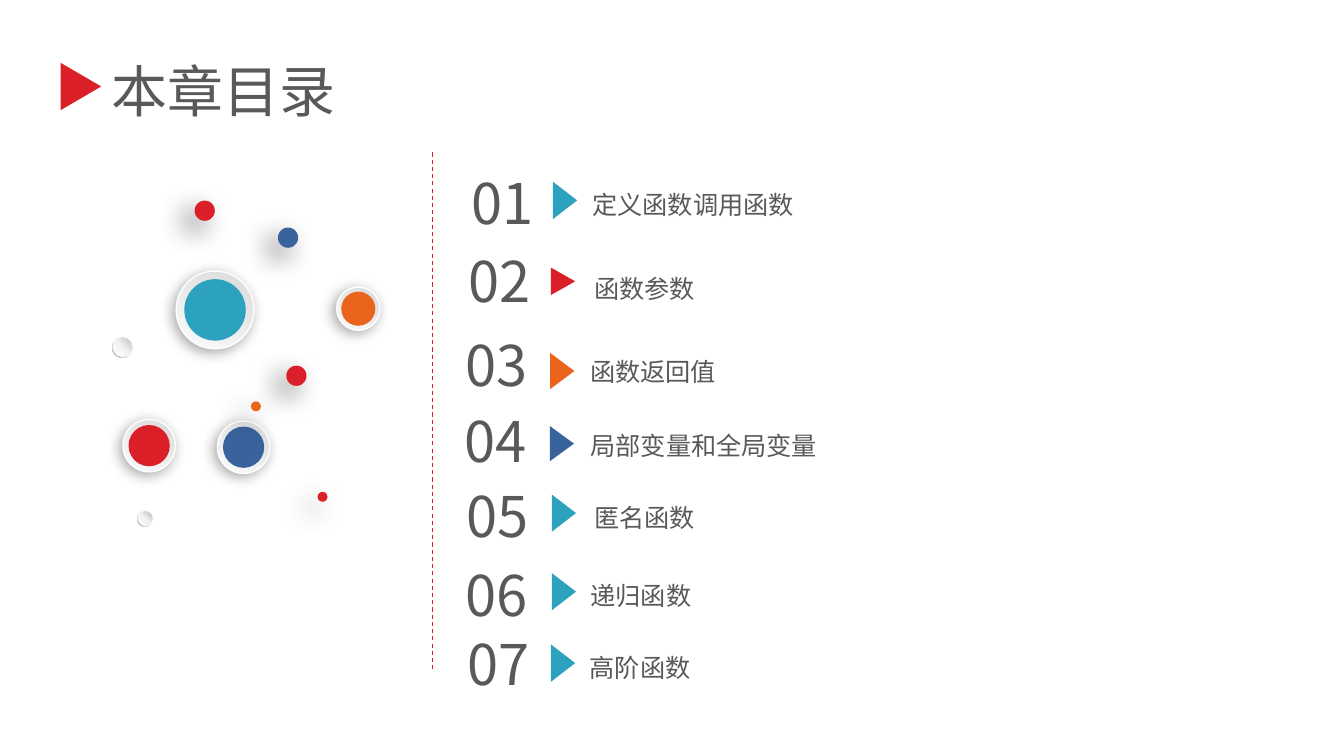
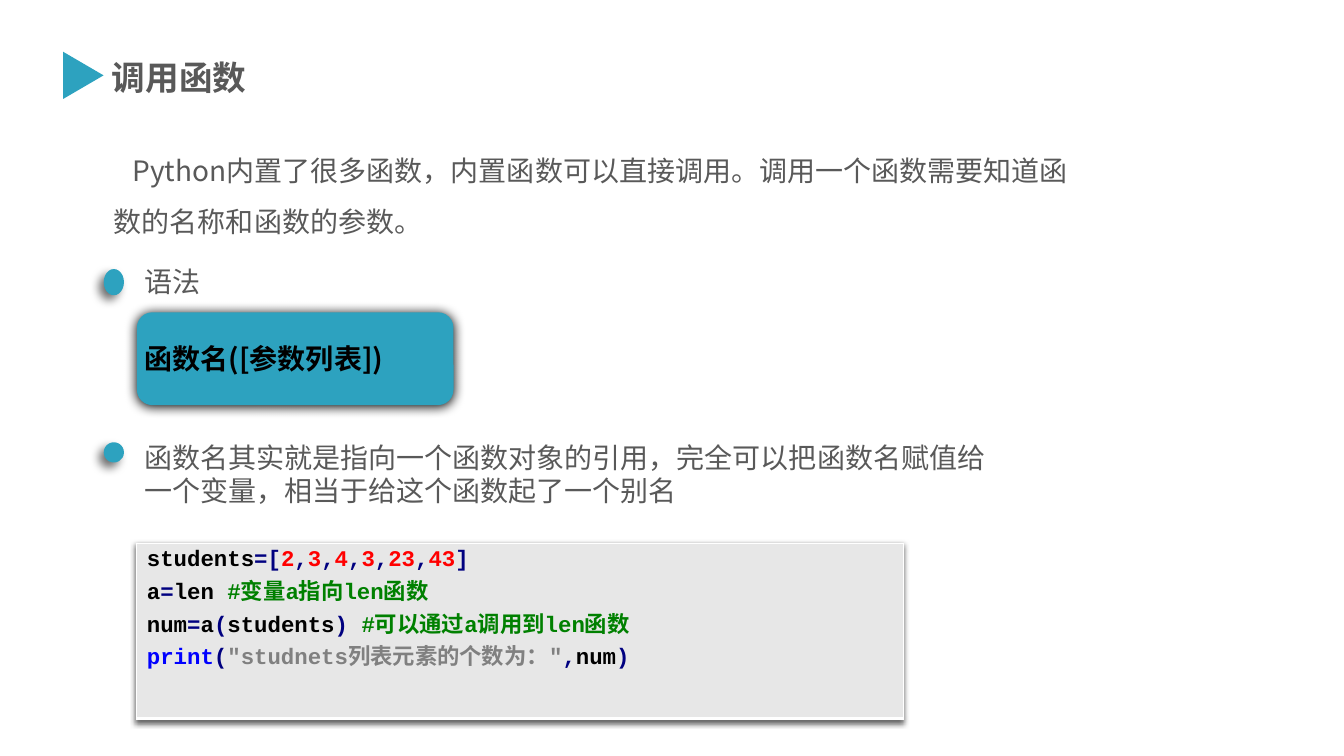
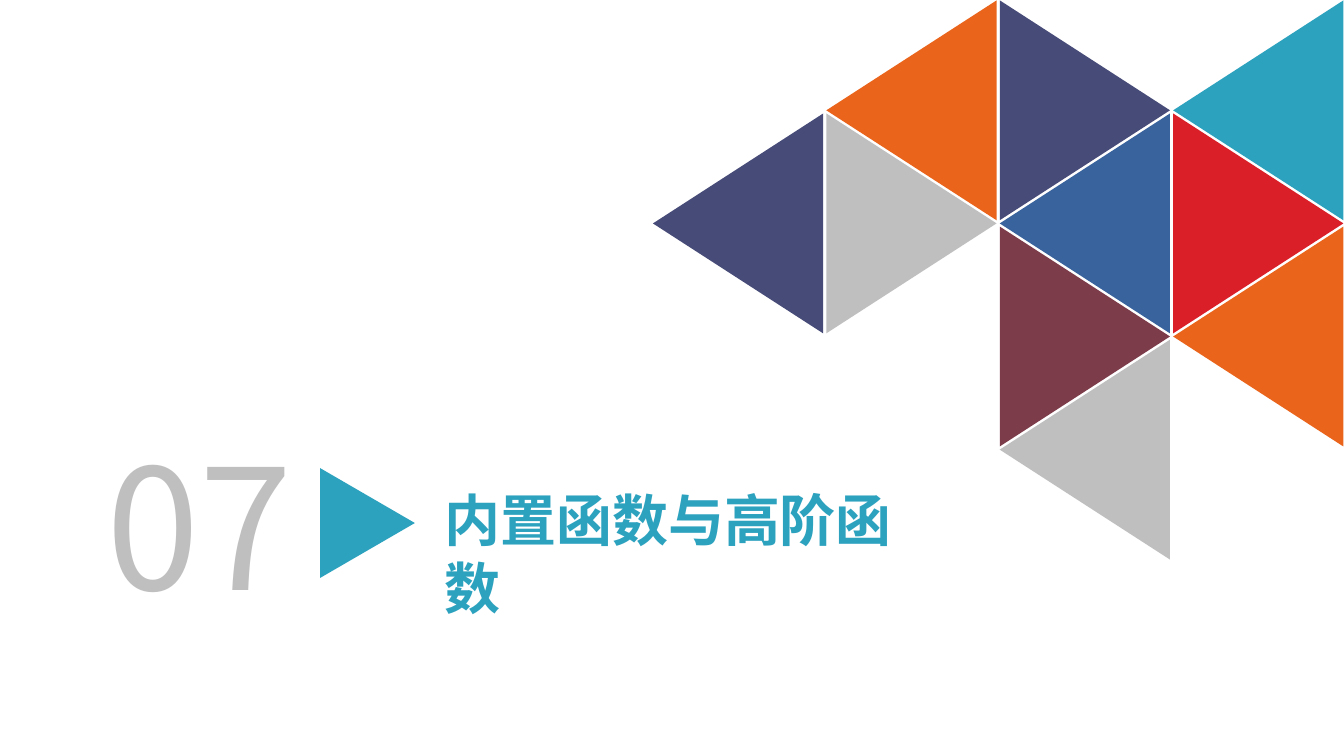
from lxml import etree
from pptx import Presentation
from pptx.dml.color import RGBColor
from pptx.enum import dml, shapes, text
from pptx.oxml import ns
from pptx.util import Cm, Pt

SANS = "Noto Sans CJK SC"
MONO = "Courier New"
TEAL, RED, ORANGE, BLUE = "2DA2BF", "DA1F28", "EB641B", "39639D"
INDIGO, MAROON, SILVER = "474B78", "7D3C4A", "BFBFBF"
GREY, BLACK, WHITE, PANEL = "595959", "000000", "FFFFFF", "E7E7E7"
NAVY, NUMBER, COMMENT, KEYWORD, STRING = "000080", "FF0000", "008000", "0000FF", "808080"

RING_STOPS = [(0, "D9D9D9"), (100, "FCFCFC")]
RIM_STOPS = [(0, WHITE), (55, "F2F2F2"), (100, "A6A6A6")]
PEARL_STOPS = [(0, WHITE), (51, "F2F2F2"), (100, SILVER)]
RING_SHADOW = (34, 10, 3, 136)
DOT_SHADOW = (60, 20, 10, 135)
BULLET_SHADOW = (57, 7, 5, 135)
PANEL_SHADOW = (100, 8.5, 1, 90)
TABLE_SHADOW = (60, 4, 2, 135)


def rgb(colour):
    return RGBColor.from_string(colour)


def node(parent, tag, **attributes):
    child = etree.SubElement(parent, ns.qn(tag))
    for key, value in attributes.items():
        child.set(key, str(value))
    return child


def add_shadow(effects, alpha, blur, distance, angle):
    outer = node(effects, "a:outerShdw", blurRad=Pt(blur), dist=Pt(distance),
                 dir=angle * 60000, algn="ctr", rotWithShape=0)
    node(node(outer, "a:srgbClr", val=BLACK), "a:alpha", val=alpha * 1000)


def fill_gradient(shape, stops, angle):
    shape.fill.gradient()
    gradient = shape.fill._xPr.find(ns.qn("a:gradFill"))
    for child in list(gradient):
        gradient.remove(child)
    stop_list = node(gradient, "a:gsLst")
    for position, colour in stops:
        node(node(stop_list, "a:gs", pos=position * 1000), "a:srgbClr", val=colour)
    node(gradient, "a:lin", ang=angle * 60000, scaled=0)


def add_centred(slide, kind, x, y, width, height, colour=None, shadow=None):
    shape = slide.shapes.add_shape(kind, Cm(x - width / 2), Cm(y - height / 2),
                                   Cm(width), Cm(height))
    shape.shadow.inherit = False
    shape.line.fill.background()
    if colour:
        shape.fill.solid()
        shape.fill.fore_color.rgb = rgb(colour)
    if shadow:
        add_shadow(shape._element.spPr.find(ns.qn("a:effectLst")), *shadow)
    return shape


def add_circle(slide, x, y, diameter, colour=None, shadow=None):
    return add_centred(slide, shapes.MSO_SHAPE.OVAL, x, y, diameter, diameter, colour, shadow)


def add_arrow(slide, x, y, width, height, colour, rotation=90):
    arrow = add_centred(slide, shapes.MSO_SHAPE.ISOSCELES_TRIANGLE, x, y, height, width, colour)
    arrow.rotation = rotation


def add_run(paragraph, words, size, colour, bold=False, face=SANS):
    run = paragraph.add_run()
    run.text = words
    run.font.size = Pt(size)
    run.font.bold = bold
    run.font.name = face
    run.font.color.rgb = rgb(colour)
    node(run.font._element, "a:ea", typeface=SANS)


def add_text(slide, left, top, width, height, words, size, colour=GREY, bold=False,
             spacing=None, before=None):
    frame = slide.shapes.add_textbox(Cm(left), Cm(top), Cm(width), Cm(height)).text_frame
    frame.word_wrap = True
    frame.auto_size = text.MSO_AUTO_SIZE.SHAPE_TO_FIT_TEXT
    paragraph = frame.paragraphs[0]
    if spacing:
        paragraph.line_spacing = spacing
    if before:
        paragraph.space_before = Pt(before)
    add_run(paragraph, words, size, colour, bold)
    return paragraph


def add_heading(slide, words, size, x, y, colour, bold=False):
    add_text(slide, 2.57, 1.3, 16.56, size * 0.05, words, size, bold=bold)
    add_arrow(slide, x, y, 1.02, 1.19, colour)


def add_ringed_circle(slide, x, y, ring, core, colour):
    rim = add_circle(slide, x, y, ring, shadow=RING_SHADOW)
    fill_gradient(rim, RING_STOPS, 120)
    rim.line.color.rgb = rgb(WHITE)
    rim.line.width = Pt(1)
    add_circle(slide, x, y, core, colour)


def add_pearl(slide, x, y, diameter):
    rim = add_centred(slide, shapes.MSO_SHAPE.DONUT, x, y, diameter, diameter)
    rim.adjustments[0] = 0.05
    fill_gradient(rim, RIM_STOPS, 135)
    fill_gradient(add_circle(slide, x, y, diameter - 0.05), PEARL_STOPS, 315)


def add_divider(slide, x, top, bottom):
    divider = slide.shapes.add_connector(shapes.MSO_CONNECTOR.STRAIGHT,
                                         Cm(x), Cm(top), Cm(x), Cm(bottom))
    divider.line.color.rgb = rgb(RED)
    divider.line.width = Pt(0.75)
    divider.line.dash_style = dml.MSO_LINE.DASH
    node(divider._element.spPr, "a:effectLst")


def add_bullet(slide, y, height, top, width, words):
    add_centred(slide, shapes.MSO_SHAPE.OVAL, 2.87, y, 0.51, height, TEAL, BULLET_SHADOW)
    add_text(slide, 3.38, top, width, 1.45, words, 20, before=12)


def add_syntax_panel(slide, words):
    panel = add_centred(slide, shapes.MSO_SHAPE.ROUNDED_RECTANGLE, 7.44, 9.04, 7.98, 2.34,
                        TEAL, PANEL_SHADOW)
    frame = panel.text_frame
    frame.margin_left = frame.margin_right = frame.margin_top = frame.margin_bottom = Cm(0.08)
    frame.vertical_anchor = text.MSO_ANCHOR.MIDDLE
    frame.paragraphs[0].alignment = text.PP_ALIGN.LEFT
    add_run(frame.paragraphs[0], words, 20, BLACK, True)


def add_code(slide, lines):
    table = slide.shapes.add_table(1, 1, Cm(3.45), Cm(13.69), Cm(19.33), Cm(4.42)).table
    table.first_row = table.horz_banding = False
    effects = etree.Element(ns.qn("a:effectLst"))
    add_shadow(effects, *TABLE_SHADOW)
    table._tbl.tblPr.insert(0, effects)
    cell = table.cell(0, 0)
    border = node(cell._tc.get_or_add_tcPr(), "a:lnB", w=Pt(2))
    node(node(border, "a:solidFill"), "a:srgbClr", val=WHITE)
    cell.fill.solid()
    cell.fill.fore_color.rgb = rgb(PANEL)
    frame = cell.text_frame
    for index, line in enumerate(lines):
        paragraph = frame.add_paragraph() if index else frame.paragraphs[0]
        for words, colour in line:
            add_run(paragraph, words, 16, colour, True, MONO)


def build_contents(slide):
    add_heading(slide, "本章目录", 40, 2.04, 2.18, RED)
    for x, y, ring, core, colour in [
        (5.42, 7.81, 1.96, 1.55, TEAL),
        (3.76, 11.23, 1.32, 1.04, RED),
        (6.14, 11.27, 1.32, 1.04, BLUE),
        (9.03, 7.78, 1.09, 0.86, ORANGE),
    ]:
        add_ringed_circle(slide, x, y, ring, core, colour)
    for x, y, diameter, colour in [
        (7.47, 9.47, 0.51, RED),
        (7.26, 5.99, 0.51, BLUE),
        (8.13, 12.52, 0.25, RED),
        (5.16, 5.31, 0.51, RED),
        (6.45, 10.24, 0.25, ORANGE),
    ]:
        add_circle(slide, x, y, diameter, colour, DOT_SHADOW)
    add_pearl(slide, 3.66, 13.07, 0.41)
    add_pearl(slide, 3.09, 8.75, 0.53)
    add_divider(slide, 10.9, 3.84, 16.92)

    chapters = [
        ("定义函数调用函数", TEAL, (11.63, 4.11), (14.24, 5.05, 0.94), (14.68, 4.27)),
        ("函数参数", RED, (11.56, 6.1), (14.19, 7.09, 0.69), (14.73, 6.38)),
        ("函数返回值", ORANGE, (11.48, 8.2), (14.17, 9.35, 0.91), (14.62, 8.48)),
        ("局部变量和全局变量", BLUE, (11.46, 10.13), (14.16, 11.18, 0.89), (14.63, 10.34)),
        ("匿名函数", TEAL, (11.51, 12.01), (14.21, 12.93, 0.94), (14.73, 12.14)),
        ("递归函数", TEAL, (11.48, 14), (14.21, 14.91, 0.94), (14.63, 14.12)),
        ("高阶函数", TEAL, (11.53, 15.75), (14.19, 16.71, 0.94), (14.61, 15.93)),
    ]
    for number, (label, colour, number_at, arrow_at, label_at) in enumerate(chapters, 1):
        x, y, height = arrow_at
        add_arrow(slide, x, y, 0.61, height, colour)
        add_text(slide, *number_at, 2.29, 1.96, f"{number:02}", 40)
        add_text(slide, *label_at, 11.46, 1.42, label, 18, spacing=1.5, before=6)


def build_calling(slide):
    add_heading(slide, "调用函数", 24, 2.1, 1.9, TEAL, True)
    intro = add_text(slide, 2.62, 3.33, 24.66, 2.82,
                     "Python内置了很多函数，内置函数可以直接调用。"
                     "调用一个函数需要知道函数的名称和函数的参数。",
                     20, spacing=1.5, before=6)
    intro._p.get_or_add_pPr().set("indent", str(Cm(0.47)))
    add_bullet(slide, 7.11, 0.66, 6.53, 15.14, "语法")
    add_syntax_panel(slide, "函数名([参数列表])")
    add_bullet(slide, 11.4, 0.51, 10.97, 22.33,
               "函数名其实就是指向一个函数对象的引用，完全可以把函数名赋值给一个变量，"
               "相当于给这个函数起了一个别名")
    students = [("students", BLACK), ("=[", NAVY)]
    for value in ["2", "3", "4", "3", "23"]:
        students += [(value, NUMBER), (",", NAVY)]
    students += [("43", NUMBER), ("]", NAVY)]
    add_code(slide, [
        students,
        [("a", BLACK), ("=", NAVY), ("len ", BLACK), ("#变量a指向len函数", COMMENT)],
        [("num", BLACK), ("=", NAVY), ("a", BLACK), ("(", NAVY), ("students", BLACK),
         (") ", NAVY), ("#可以通过a调用到len函数", COMMENT)],
        [("print", KEYWORD), ("(", NAVY), ('"studnets列表元素的个数为："', STRING),
         (",", NAVY), ("num", BLACK), (")", NAVY)],
    ])


def build_section(slide):
    mosaic = [
        (3, 0, TEAL), (3, 1, RED), (3, 2, ORANGE),
        (2, 0, INDIGO), (2, 1, BLUE), (2, 2, MAROON), (2, 3, SILVER),
        (1, 0, ORANGE), (1, 1, SILVER), (0, 1, INDIGO),
    ]
    for column, row, colour in mosaic:
        rotation = 270 if (column + row) % 2 else 90
        add_arrow(slide, 18.6 + 4.37 * column, 2.78 + 2.85 * row, 4.29, 5.54, colour, rotation)
    add_text(slide, 10.95, 12.12, 13.11, 3.68, "内置函数与高阶函数", 40, TEAL, True)
    number = add_text(slide, 1.22, 10.52, 7.62, 5.38, "07", 120, SILVER)
    number.alignment = text.PP_ALIGN.CENTER
    add_arrow(slide, 9.26, 13.18, 2.39, 2.77, TEAL)


def main():
    deck = Presentation()
    deck.slide_width, deck.slide_height = Cm(33.87), Cm(19.05)
    for build in (build_contents, build_calling, build_section):
        build(deck.slides.add_slide(deck.slide_layouts[6]))
    deck.save("out.pptx")


if __name__ == "__main__":
    main()
